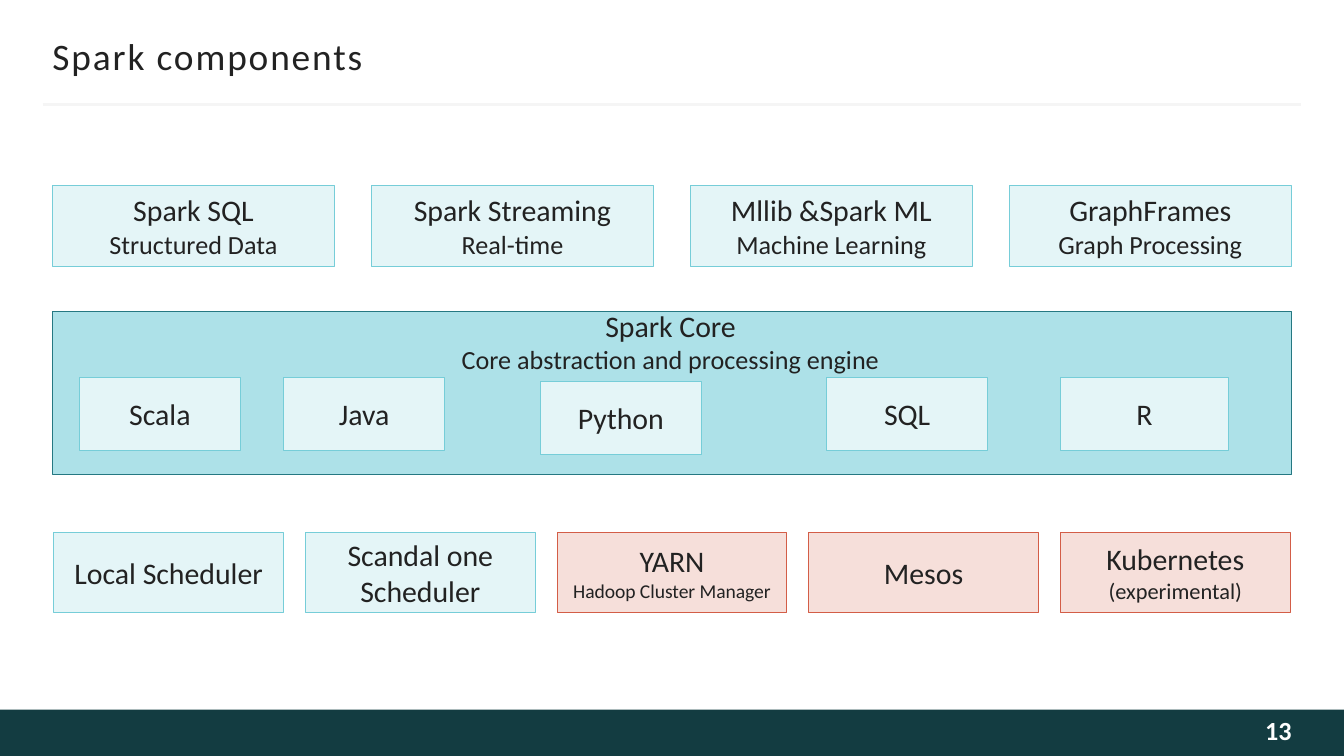
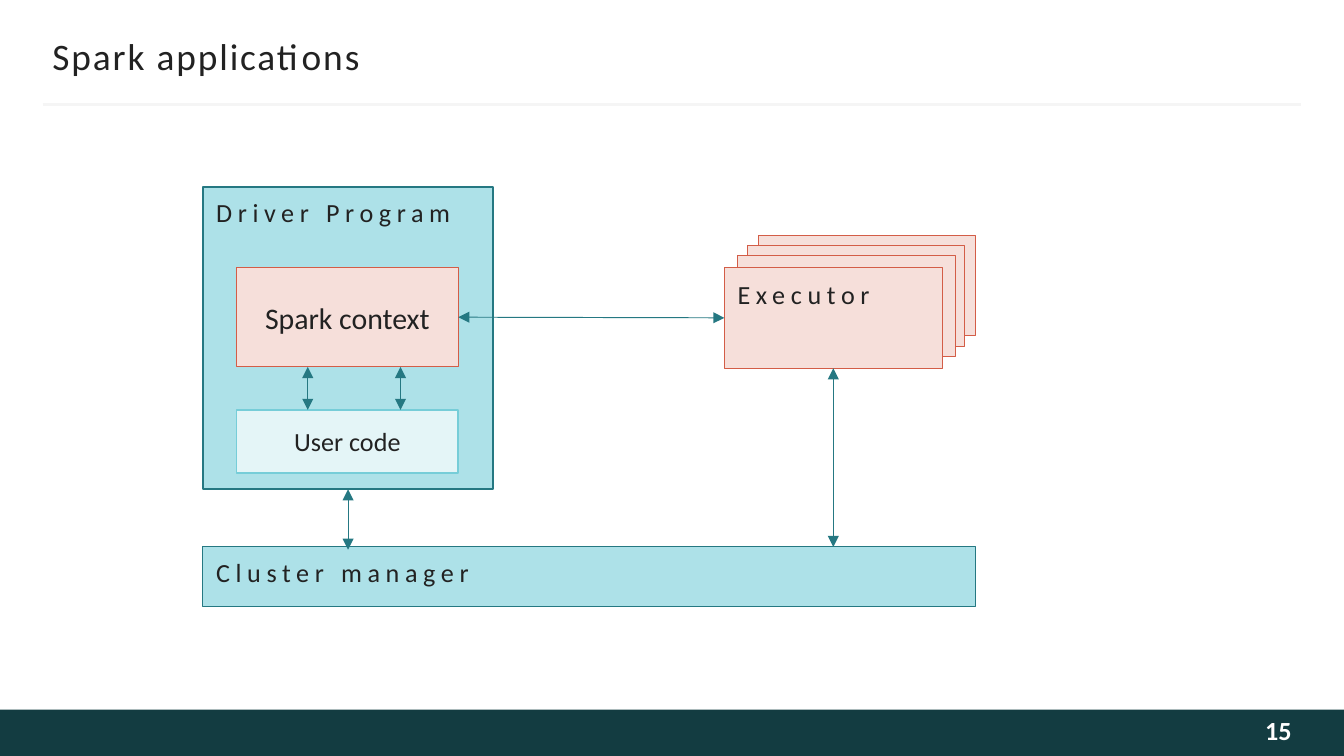
from pptx import Presentation
from pptx.dml.color import RGBColor
from pptx.enum.shapes import MSO_CONNECTOR, MSO_SHAPE
from pptx.enum.text import MSO_ANCHOR as Anchor, MSO_AUTO_SIZE as AutoSize, PP_ALIGN as Align
from pptx.oxml.ns import qn
from pptx.util import Inches, Pt
from lxml.etree import SubElement

FONT = "Calibri"
INK, WHITE, BAND, RULE = "222222", "FEFEFE", "133C41", "F5F5F5"
TEAL = "257882"
# Box styles: fill and outline
PALE = ("E4F5F7", "76CDD8")
AQUA = ("ADE1E8", TEAL)
ROSE = ("F6DFDA", "D35D47")


def color(value):
    return RGBColor.from_string(value)


def inches(*values):
    return [Inches(value) for value in values]


def write(text_frame, paragraphs, align, ink=INK, bold=False, spacing=0):
    """Fill a text frame; each paragraph is a list of (text, size) runs."""
    for index, runs in enumerate(paragraphs):
        paragraph = text_frame.paragraphs[0] if index == 0 else text_frame.add_paragraph()
        paragraph.alignment = align
        for text, size in runs:
            run = paragraph.add_run()
            run.text = text
            font = run.font
            font.name, font.size, font.bold = FONT, Pt(size), bold
            font.color.rgb = color(ink)
            if spacing:
                run._r.get_or_add_rPr().set("spc", str(spacing * 100))


def add_box(slide, box, style, paragraphs=(), weight=0.5):
    fill, outline = style
    shape = slide.shapes.add_shape(MSO_SHAPE.RECTANGLE, *inches(*box))
    shape.shadow.inherit = False
    shape.fill.solid()
    shape.fill.fore_color.rgb = color(fill)
    shape.line.color.rgb = color(outline)
    shape.line.width = Pt(weight)
    shape.text_frame.word_wrap = True
    shape.text_frame.vertical_anchor = Anchor.MIDDLE
    write(shape.text_frame, paragraphs, Align.CENTER)
    return shape


def add_label(slide, box, paragraphs, align=Align.LEFT, spacing=0):
    text_frame = slide.shapes.add_textbox(*inches(*box)).text_frame
    text_frame.word_wrap = False
    text_frame.auto_size = AutoSize.SHAPE_TO_FIT_TEXT
    write(text_frame, paragraphs, align, spacing=spacing)


def add_line(slide, start, end, line_color, weight):
    line = slide.shapes.add_connector(MSO_CONNECTOR.STRAIGHT, *inches(*start, *end))
    line.line.color.rgb = color(line_color)
    line.line.width = Pt(weight)
    SubElement(line._element.spPr, qn("a:effectLst"))
    return line


def add_arrow(slide, start, end):
    """Draw a thin double-headed arrow."""
    arrow = add_line(slide, start, end, TEAL, 0.5)
    outline = arrow.line._get_or_add_ln()
    for tag in ("a:headEnd", "a:tailEnd"):
        SubElement(outline, qn(tag)).set("type", "triangle")
    return arrow


def add_frame_text(slide, box, margins, text, size, **style):
    """Place the title or the page number in its fixed box."""
    text_frame = slide.shapes.add_textbox(*inches(*box)).text_frame
    text_frame.word_wrap = True
    text_frame.vertical_anchor = Anchor.MIDDLE
    (text_frame.margin_left, text_frame.margin_top,
     text_frame.margin_right, text_frame.margin_bottom) = inches(*margins)
    write(text_frame, [[(text, size)]], **style)


def new_slide(presentation, title, number):
    slide = presentation.slides.add_slide(presentation.slide_layouts[6])
    band = add_box(slide, (0, 5.28, 10, 0.35), (BAND, BAND))
    band.line.fill.background()
    add_line(slide, (0.32, 0.78), (9.68, 0.78), RULE, 1.5)
    add_frame_text(slide, (0.39, 0.25, 9.22, 0.33), (0, 0.05, 0, 0.05), title, 20,
                   align=Align.LEFT, spacing=1)
    add_frame_text(slide, (8.11, 5.28, 1.5, 0.35), (0.1, 0.05, 0, 0.09), str(number), 14,
                   align=Align.RIGHT, ink=WHITE, bold=True)
    return slide


def add_row(slide, box, item_width, items):
    """Spread equal boxes evenly over the width of the row."""
    left, top, width, height = box
    pitch = (width - item_width) / (len(items) - 1)
    for index, (style, paragraphs) in enumerate(items):
        add_box(slide, (left + index * pitch, top, item_width, height), style, paragraphs)


def add_core(slide, box):
    left, top, width, _ = box
    add_box(slide, box, AQUA)
    add_label(slide, (left + 2.93, top - 0.08, 3.34, 0.61),
              [[("Spark Core", 16)], [("Core abstraction and processing engine", 14)]],
              Align.CENTER)
    # Languages: name, offset from the left and top of the core, width
    for name, dx, dy, item_width in (("Scala", 0.2, 0.49, 1.2), ("Java", 1.72, 0.49, 1.2),
                                     ("Python", 3.63, 0.52, 1.2), ("SQL", 5.76, 0.49, 1.2),
                                     ("R", 7.5, 0.49, 1.25)):
        add_box(slide, (left + dx, top + dy, item_width, 0.54), PALE, [[(name, 16)]])


def components_slide(presentation):
    slide = new_slide(presentation, "Spark components", 13)
    libraries = (("Spark SQL", "Structured Data"), ("Spark Streaming", "Real-time"),
                 ("Mllib &Spark ML", "Machine Learning"), ("GraphFrames", "Graph Processing"))
    add_row(slide, (0.39, 1.38, 9.22, 0.6), 2.1,
            [(PALE, [[(name, 16)], [(purpose, 14)]]) for name, purpose in libraries])
    add_core(slide, (0.39, 2.32, 9.22, 1.21))
    # Schedulers and cluster managers
    add_row(slide, (0.4, 3.96, 9.2, 0.6), 1.71, [
        (PALE, [[("Local Scheduler", 16)]]),
        (PALE, [[("Scandal one Scheduler", 16)]]),
        (ROSE, [[("YARN", 16)], [("Hadoop Cluster Manager", 10.5)]]),
        (ROSE, [[("Mesos", 16)]]),
        (ROSE, [[("Kubernetes ", 16), ("(experimental)", 12)]]),
    ])


def add_driver(slide, box):
    """Draw the driver program; return its frame and the Spark context."""
    left, top, _, _ = box
    driver = add_box(slide, box, AQUA, weight=1)
    add_label(slide, (left, top + 0.02, 2, 0.34), [[("Driver Program", 14)]], spacing=3)
    context = add_box(slide, (left + 0.25, top + 0.6, 1.65, 0.74), ROSE,
                      [[("Spark context", 16)]])
    add_box(slide, (left + 0.25, top + 1.66, 1.65, 0.47), PALE, [[("User code", 14)]], 1)
    for dx in (0.78, 1.47):
        add_arrow(slide, (left + dx, top + 1.34), (left + dx, top + 1.66))
    return driver, context


def add_manager(slide, box):
    left, top, _, _ = box
    add_box(slide, box, AQUA)
    add_label(slide, (left, top + 0.02, 2.14, 0.34), [[("Cluster manager", 14)]], spacing=3)


def add_executors(slide, box):
    """Draw the stack of executors; return the front one."""
    left, top, width, height = box
    for dx, dy in ((0.25, -0.24), (0.17, -0.16), (0.1, -0.09), (0, 0)):
        front = add_box(slide, (left + dx, top + dy, width, height), ROSE)
    add_label(slide, (left, top + 0.03, 1.24, 0.34), [[("Executor", 14)]], spacing=3)
    return front


def applications_slide(presentation):
    slide = new_slide(presentation, "Spark applications", 15)
    driver, context = add_driver(slide, (1.51, 1.39, 2.16, 2.25))
    add_manager(slide, (1.51, 4.07, 5.75, 0.44))
    executor = add_executors(slide, (5.39, 1.99, 1.62, 0.75))
    # Links between the parts
    add_arrow(slide, (6.2, 2.74), (6.2, 4.07)).begin_connect(executor, 2)
    add_arrow(slide, (2.59, 3.64), (2.59, 4.09)).begin_connect(driver, 2)
    link = add_arrow(slide, (5.39, 2.36), (3.41, 2.36))
    link.begin_connect(executor, 1)
    link.end_connect(context, 3)


def main():
    presentation = Presentation()
    presentation.slide_width, presentation.slide_height = inches(10, 5.625)
    components_slide(presentation)
    applications_slide(presentation)
    presentation.save("out.pptx")


if __name__ == "__main__":
    main()
